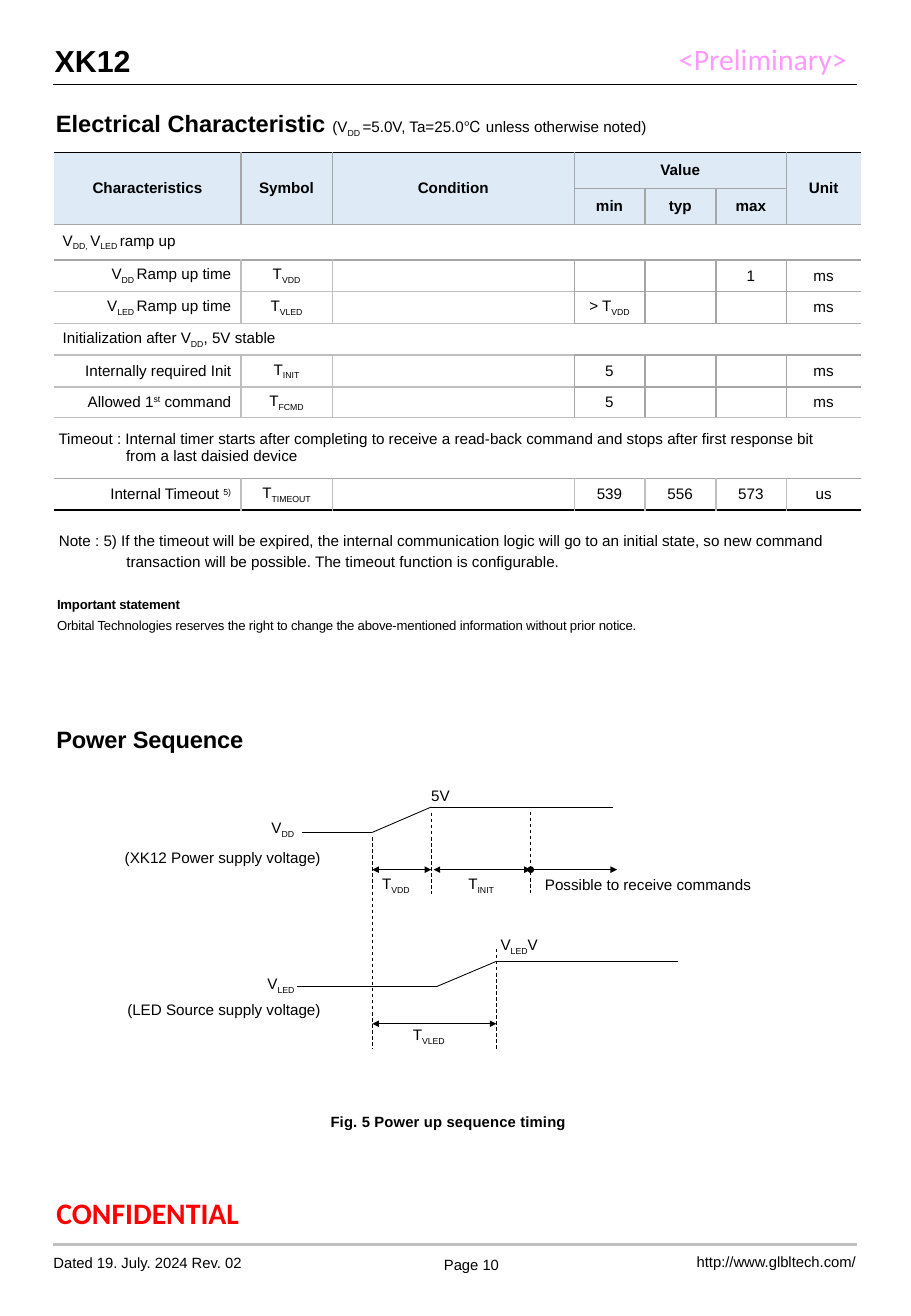
from pptx import Presentation
from pptx.dml.color import RGBColor
from pptx.enum.dml import MSO_LINE
from pptx.enum.shapes import MSO_CONNECTOR
from pptx.enum.text import MSO_ANCHOR, MSO_AUTO_SIZE, PP_ALIGN
from pptx.oxml.ns import qn
from pptx.util import Pt
from lxml.etree import SubElement

LEFT, CENTER, RIGHT = PP_ALIGN.LEFT, PP_ALIGN.CENTER, PP_ALIGN.RIGHT
BLACK, GREY, LIGHT, HEAD_FILL = "000000", "A6A6A6", "BFBFBF", "DEEBF7"

# In all texts "|" starts a new run; "_" marks a subscript, "^" a superscript.
TITLE = ("Electrical Characteristic ",
         "(V|_DD |=5.0V, Ta=25.0℃ unless otherwise noted)")

COLS = [110.8, 54.2, 143.4, 41.9, 41.9, 41.9, 44.4]
HEIGHTS = [21.2] * 3 + [18.8] * 4 + [18.3, 36, 18.8]
ROWS = [
    ["Characteristics", "Symbol", "Condition", "Value", "", "", "Unit"],
    ["", "", "", "min", "typ", "max", ""],
    ["V|_DD, |V|_LED |ramp up"],
    ["V|_DD |Ramp up time", "T|_VDD", "", "", "", "1", "ms"],
    ["V|_LED |Ramp up time", "T|_VLED", "", "> T|_VDD", "", "", "ms"],
    ["Initialization after V|_DD|, 5V stable"],
    ["Internally required Init", "T|_INIT", "", "5", "", "", "ms"],
    ["Allowed 1|^st| command", "T|_FCMD", "", "5", "", "", "ms"],
    ["Timeout : Internal timer starts after completing to receive a read-back "
     "command and stops after first response bit\vfrom a last daisied device"],
    ["Internal Timeout |^5)", "T|_TIMEOUT", "", "539", "556", "573", "us"],
]
MERGES = [(0, 0, 1, 0), (0, 1, 1, 1), (0, 2, 1, 2), (0, 3, 0, 5), (0, 6, 1, 6),
          (2, 0, 2, 6), (5, 0, 5, 1), (8, 0, 8, 6)]
TIMEOUT_ROW, LAST_ROW, LAST_COL = 8, 9, 6

NOTE = ("Note : 5) If the timeout will be expired, the internal communication logic "
        "will go to an initial state, so new command\v"
        "transaction will be possible. The timeout function is configurable.")
STATEMENT = ("Important statement",
             "Orbital Technologies reserves the right to change the above-mentioned "
             "information without prior notice.")

# text, left, top, width, size, bold, colour, font, alignment, letter spacing
TEXTS = [
    ("XK12", 32.4, 25.2, 200, 18, True, BLACK, "Arial", LEFT, 0),
    ("<Preliminary>", 402.5, 24.2, 125, 17.6, False, "FF99FF", "Calibri", LEFT, 0),
    ("CONFIDENTIAL", 33.4, 707.8, 157, 17.6, True, "FF0000", "Calibri", LEFT, 0),
    ("Dated 19. July. 2024 Rev. 02", 31.7, 743, 155, 8.8, False, BLACK, "Arial", LEFT, 0),
    ("Page 10", 250, 744, 59, 8.8, False, BLACK, "Arial", CENTER, 0),
    ("http://www.glbltech.com/", 387.4, 742.4, 120, 8.8, False, BLACK, "Arial", RIGHT, 0),
    ("Power Sequence", 33.4, 429.8, 200, 14, True, BLACK, "Arial", LEFT, -0.1),
    ("Fig. 5 Power up sequence timing", 196, 659.5, 216, 8.8, True, BLACK, "Arial", LEFT, 0.1),
]

# Time axis and levels of the power sequence
VDD_START, VDD_RAMP, VDD_ON, READY, VDD_END = 179.3, 220.7, 255.6, 314.6, 363.6
VLED_START, VLED_RAMP, VLED_ON, VLED_END = 176.3, 258.8, 294.3, 401.8
VDD_HIGH, VDD_LOW, VDD_SPAN = 478.2, 493.2, 515.3
VLED_HIGH, VLED_LOW, VLED_SPAN = 569.6, 584.6, 606.6

WAVES = [
    [(VDD_START, VDD_LOW), (VDD_RAMP, VDD_LOW), (VDD_ON, VDD_HIGH), (VDD_END, VDD_HIGH)],
    [(VLED_START, VLED_LOW), (VLED_RAMP, VLED_LOW), (VLED_ON, VLED_HIGH),
     (VLED_END, VLED_HIGH)],
]
MARKERS = [(VDD_RAMP, 496.1, 621.4), (VDD_ON, 481.7, 529.9),
           (READY, 481, 529.2), (VLED_ON, 562.3, 621.4)]
SPANS = [(VDD_ON, VDD_RAMP, VDD_SPAN, "triangle"), (READY, 257, VDD_SPAN, "triangle"),
         (READY, 365.8, VDD_SPAN, "oval"), (VLED_ON, VDD_RAMP, VLED_SPAN, "triangle")]
LABELS = [
    ("T|_VDD", 226.5, 518, 28, LEFT), ("T|_INIT", 277.6, 518, 34, LEFT),
    ("V|_DD", 160.9, 485, 18, LEFT), ("5V", 255.6, 466, 20, LEFT),
    ("Possible to receive commands", 323, 518.5, 140, LEFT),
    ("V|_LED", 158.5, 577.4, 20, LEFT), ("V|_LED|V", 296.7, 554.4, 40, LEFT),
    ("T|_VLED", 244.7, 607.4, 40, LEFT),
    ("(XK12 Power supply voltage)", 60, 502.9, 130, RIGHT),
    ("(LED Source supply voltage)", 60, 592.9, 130, RIGHT),
]


def rgb(color):
    return RGBColor.from_string(color)


def write(p, text, size, bold=False, color=BLACK, font="Arial", align=LEFT,
          spacing=0, hanging=None):
    """Fill a paragraph; hanging is (left margin, first-line indent)."""
    if hanging:
        pPr = p._p.get_or_add_pPr()
        for name, value in zip(("marL", "indent"), hanging):
            pPr.set(name, str(Pt(value)))
    p.alignment = align
    f = p.font
    f.size, f.bold, f.name = Pt(size), bold, font
    f.color.rgb = rgb(color)
    for part in text.split("|") if text else []:
        shift = {"_": "-25000", "^": "30000"}.get(part[0])
        for i, line in enumerate(part.split("\v")):
            if i:
                p.add_line_break()
            r = p.add_run()
            r.text = line[1:] if shift else line
            rPr = r._r.get_or_add_rPr()
            if shift:
                rPr.set("baseline", shift)
            if spacing:
                rPr.set("spc", str(round(spacing * 100)))
    if not text:
        p._p.get_or_add_endParaRPr().set("sz", str(size * 100))


def clear_frame(tf):
    tf.word_wrap, tf.auto_size = True, MSO_AUTO_SIZE.NONE
    tf.vertical_anchor = MSO_ANCHOR.TOP
    tf.margin_left = tf.margin_right = tf.margin_top = tf.margin_bottom = 0
    return tf


def add_text(s, text, x, y, w, size, *style, **options):
    tf = clear_frame(s.shapes.add_textbox(Pt(x), Pt(y), Pt(w), Pt(size * 1.2)).text_frame)
    write(tf.paragraphs[0], text, size, *style, **options)
    return tf


def add_line(s, start, end, color=BLACK, width=0.5, dashed=False, head=None, tail=None):
    c = s.shapes.add_connector(MSO_CONNECTOR.STRAIGHT, *map(Pt, start + end))
    c.line.color.rgb, c.line.width = rgb(color), Pt(width)
    if dashed:
        c.line.dash_style = MSO_LINE.DASH
    for tag, kind in (("a:headEnd", head), ("a:tailEnd", tail)):
        if kind:
            SubElement(c._element.spPr.find(qn("a:ln")), qn(tag), type=kind, w="sm", len="sm")
    SubElement(c._element.spPr, qn("a:effectLst"))


def border_under(row, col):
    if row in (-1, LAST_ROW):
        return BLACK
    return GREY if row < 3 or row == TIMEOUT_ROW or col > 2 else LIGHT


def border_right(row, col):
    if col in (-1, LAST_COL) or len(ROWS[row]) == 1:
        return None
    return LIGHT if row == LAST_ROW or (row > 2 and col < 2) else GREY


def set_borders(cell, row, col):
    tcPr = cell._tc.get_or_add_tcPr()
    sides = (("L", border_right(row, col - 1)), ("R", border_right(row, col)),
             ("T", border_under(row - 1, col)), ("B", border_under(row, col)))
    for side, color in sides:
        ln = SubElement(tcPr, qn("a:ln" + side), w=str(Pt(1)))
        if color:
            SubElement(SubElement(ln, qn("a:solidFill")), qn("a:srgbClr"), val=color)
        else:
            SubElement(ln, qn("a:noFill"))


def add_characteristics(s):
    table = s.shapes.add_table(len(ROWS), len(COLS), Pt(32.2), Pt(90.5),
                               Pt(sum(COLS)), Pt(sum(HEIGHTS))).table
    table.first_row = table.horz_banding = False
    for col, w in zip(table.columns, COLS):
        col.width = Pt(w)
    for i, (row, h) in enumerate(zip(ROWS, HEIGHTS)):
        table.rows[i].height = Pt(h)
        group, header = len(row) == 1, i < 2
        for j in range(len(COLS)):
            cell = table.cell(i, j)
            name = j == 0 and not header
            cell.vertical_anchor = MSO_ANCHOR.MIDDLE
            cell.margin_top = cell.margin_bottom = 0
            cell.margin_left = Pt(5 if group and i != TIMEOUT_ROW else 0)
            cell.margin_right = Pt(6 if name else 0.5)
            write(cell.text_frame.paragraphs[0], row[j] if j < len(row) else "", 9, header,
                  align=LEFT if group else RIGHT if name else CENTER,
                  hanging=(42.5, -40) if i == TIMEOUT_ROW else None)
            set_borders(cell, i, j)
            if header:
                cell.fill.solid()
                cell.fill.fore_color.rgb = rgb(HEAD_FILL)
            else:
                cell.fill.background()
    for top, left, bottom, right in MERGES:
        table.cell(top, left).merge(table.cell(bottom, right))


def add_power_sequence(s):
    for wave in WAVES:
        for start, end in zip(wave, wave[1:]):
            add_line(s, start, end)
    for x, top, bottom in MARKERS:
        add_line(s, (x, top), (x, bottom), dashed=True)
    for start, end, y, head in SPANS:
        add_line(s, (start, y), (end, y), head=head, tail="triangle")
    for text, x, y, w, align in LABELS:
        add_text(s, text, x, y, w, 9, align=align)


def main():
    prs = Presentation()
    prs.slide_width, prs.slide_height = Pt(540), Pt(779.76)
    s = prs.slides.add_slide(prs.slide_layouts[5])
    title = s.shapes.title
    title.left, title.top, title.width, title.height = Pt(33.1), Pt(64.8), Pt(400), Pt(18)
    p = clear_frame(title.text_frame).paragraphs[0]
    write(p, "|".join(TITLE), 9)
    p.runs[0].font.size, p.runs[0].font.bold = Pt(14), True

    for item in TEXTS:
        add_text(s, *item)
    add_line(s, (31.7, 50.2), (508.3, 50.2))
    add_line(s, (31.7, 737.3), (508.3, 737.3), LIGHT, 2)
    add_characteristics(s)
    tf = add_text(s, NOTE, 32, 314, 476, 9, hanging=(42.9, -40))
    tf.paragraphs[0].line_spacing = 1.1
    heading, body = STATEMENT
    tf = add_text(s, heading, 33.8, 353.5, 400, 7.8, True, spacing=-0.1)
    p = tf.add_paragraph()
    write(p, body, 7.8, spacing=-0.1)
    p.space_before = Pt(3)
    add_power_sequence(s)
    prs.save("out.pptx")


if __name__ == "__main__":
    main()
